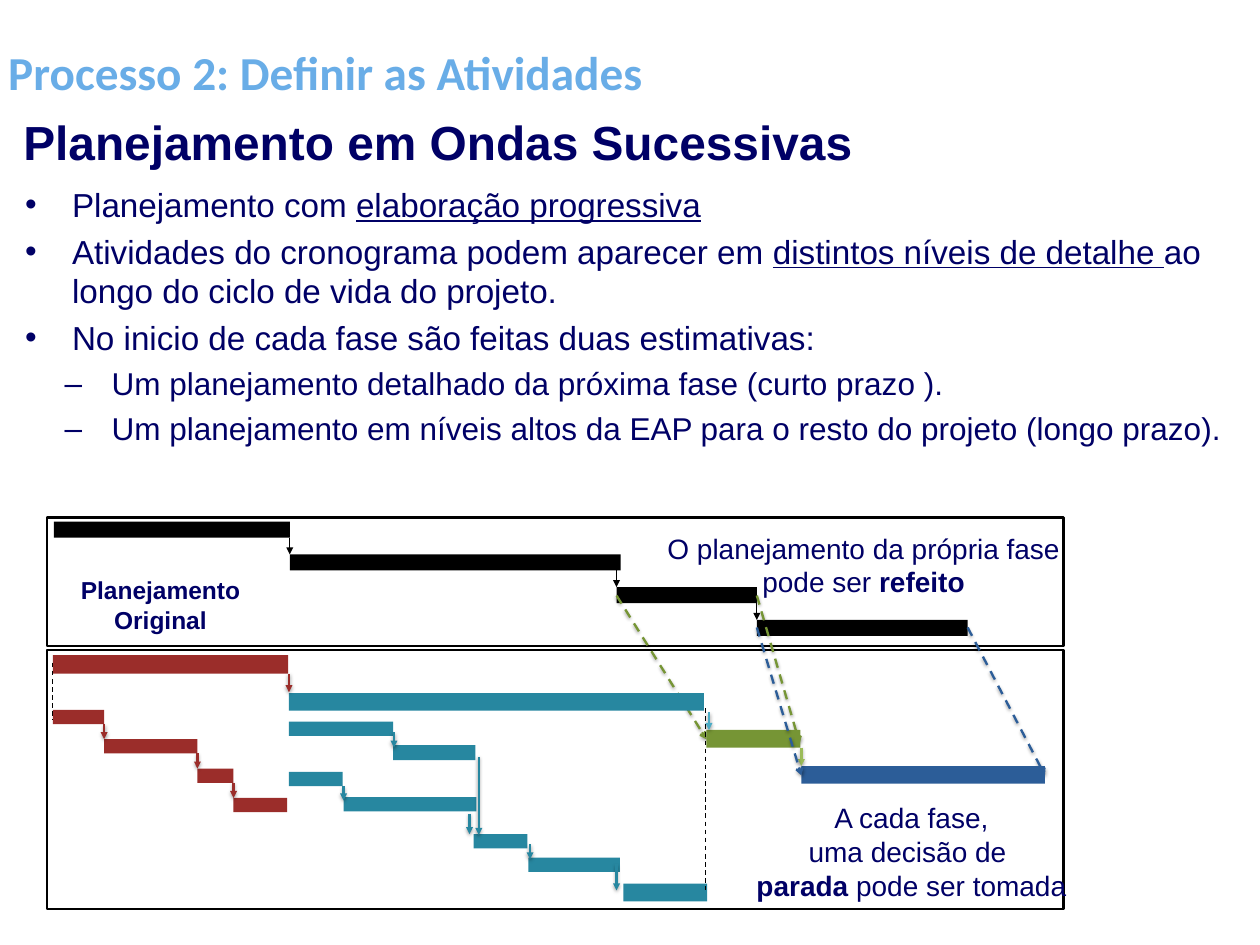
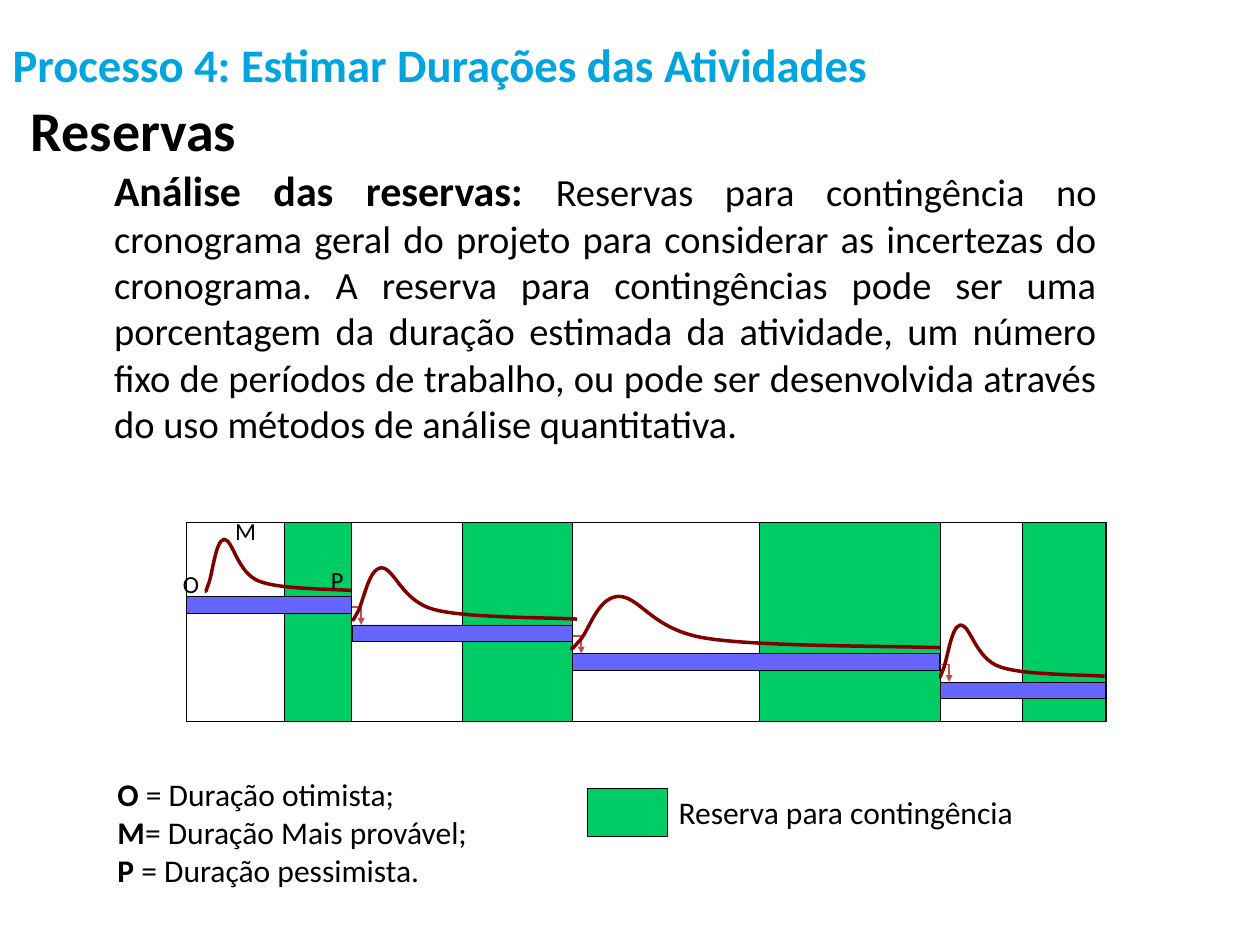
from dataclasses import dataclass
from itertools import pairwise
from typing import NamedTuple

from lxml import etree
from pptx import Presentation
from pptx import util as u
from pptx.dml.color import RGBColor
from pptx.enum import dml, shapes, text
from pptx.oxml import ns

Inches, Pt = u.Inches, u.Pt


@dataclass(frozen=True)
class Theme:
    arial: str = "Arial"
    calibri: str = "Calibri"
    navy: str = "000066"
    black: str = "000000"
    white: str = "FFFFFF"
    sky: str = "69ADE7"
    cyan: str = "00A4DE"
    red: str = "9B2D2A"
    teal: str = "2787A0"
    aqua: str = "4BACC6"
    olive: str = "769535"
    lime: str = "9BBB59"
    blue: str = "2C5D98"
    reserve: str = "00CC66"
    task: str = "6666FF"
    curve: str = "800000"
    link: str = "C0504D"
    wave_title: float = 40.5
    reserve_title: float = 40
    wave_heading: float = 41
    reserve_heading: float = 48
    bullet: float = 28.5
    sub_bullet: float = 27
    lead: float = 36
    body: float = 33
    legend: float = 27
    note: float = 24
    label: float = 21


T = Theme()


class Run(NamedTuple):
    words: str
    bold: bool | None = None
    underline: bool | None = None
    size: float | None = None


class Para(NamedTuple):
    runs: list[Run]
    bullet: str = ""
    level: int = 0
    size: float | None = None


class Style(NamedTuple):
    size: float
    font: str = T.calibri
    color: str = T.black
    bold: bool | None = None
    align: text.PP_ALIGN | None = None
    middle: bool = False
    inset: float = 0.1
    wrap: bool = True
    rounded: bool = False


class Bar(NamedTuple):
    left: float
    top: float
    width: float
    height: float
    color: str


class Line(NamedTuple):
    x1: float
    y1: float
    x2: float
    y2: float
    color: str = T.black
    weight: float = 2
    dashed: bool = False
    head: str = "triangle"
    shadow: bool = True


class Task(NamedTuple):
    start: float
    end: float
    reserve_start: float
    curve_start: float
    curve_end: float


def rgb(color: str) -> RGBColor:
    return RGBColor.from_string(color)


def add_child(parent, tag: str, **attributes: str):
    return etree.SubElement(parent, ns.qn(tag), attributes)


def draw_text(slide, left: float, top: float, width: float, height: float,
              paras: list[Para], style: Style) -> None:
    place = [Inches(side) for side in (left, top, width, height)]
    if style.rounded:
        holder = slide.shapes.add_shape(shapes.MSO_SHAPE.ROUNDED_RECTANGLE, *place)
        holder.shadow.inherit = False
        holder.fill.background()
        holder.line.fill.background()
    else:
        holder = slide.shapes.add_textbox(*place)
    frame = holder.text_frame
    frame.word_wrap = style.wrap
    frame.margin_left = frame.margin_right = Inches(style.inset)
    if style.middle:
        frame.vertical_anchor = text.MSO_ANCHOR.MIDDLE
    for index, para in enumerate(paras):
        paragraph = frame.add_paragraph() if index else frame.paragraphs[0]
        if style.align is not None:
            paragraph.alignment = style.align
        if para.bullet:
            paragraph.level = para.level
            if index:
                paragraph.space_before = Pt(6)
            props = paragraph._p.get_or_add_pPr()
            props.set("marL", str(Inches(1.03 if para.level else 0.56)))
            props.set("indent", str(Inches(-0.56)))
            add_child(props, "a:buFont", typeface=style.font)
            add_child(props, "a:buChar", char=para.bullet)
        paragraph.font.name = style.font
        paragraph.font.size = Pt(para.size or style.size)
        paragraph.font.color.rgb = rgb(style.color)
        paragraph.font.bold = style.bold
        for part in para.runs:
            run = paragraph.add_run()
            run.text = part.words
            if part.bold:
                run.font.bold = True
            if part.underline:
                run.font.underline = True
            if part.size:
                run.font.size = Pt(part.size)


def draw_words(slide, left: float, top: float, width: float, height: float,
               words: str, style: Style) -> None:
    draw_text(slide, left, top, width, height, [Para([Run(words)])], style)


def draw_title(slide, words: str, size: float, color: str, width: float, height: float, inset: float) -> None:
    draw_words(slide, 0, 0.32, width, height, words,
               Style(size, color=color, bold=True, middle=True, inset=inset))


def draw_bar(slide, bar: Bar, outline: float = 0) -> None:
    shape = slide.shapes.add_shape(shapes.MSO_SHAPE.RECTANGLE, *map(Inches, bar[:4]))
    shape.shadow.inherit = False
    shape.fill.solid()
    shape.fill.fore_color.rgb = rgb(bar.color)
    if outline:
        shape.line.color.rgb = rgb(T.black)
        shape.line.width = Pt(outline)
    else:
        shape.line.fill.background()


def draw_line(slide, line: Line) -> None:
    connector = slide.shapes.add_connector(shapes.MSO_CONNECTOR.STRAIGHT, *map(Inches, line[:4]))
    connector.line.color.rgb = rgb(line.color)
    connector.line.width = Pt(line.weight)
    if line.dashed:
        connector.line.dash_style = dml.MSO_LINE.DASH
    props = connector._element.spPr
    if line.head:
        add_child(props.find(ns.qn("a:ln")), "a:tailEnd", type=line.head)
    effects = add_child(props, "a:effectLst")
    if line.shadow:
        shade = add_child(effects, "a:outerShdw", blurRad=str(Pt(3.1)), dist=str(Pt(1.6)),
                          dir="5400000", rotWithShape="0")
        add_child(add_child(shade, "a:srgbClr", val=T.black), "a:alpha", val="38000")


def draw_cascade(slide, bars: list[Bar], weight: float, shadow: bool) -> None:
    for bar in bars:
        draw_bar(slide, bar)
    for before, after in pairwise(bars):
        draw_line(slide, Line(after.left, before.top + before.height, after.left, after.top,
                              after.color, weight, shadow=shadow))


def stair(spans: list[tuple[float, float]], top: float, step: float, height: float, color: str) -> list[Bar]:
    return [Bar(left, top + i * step, width, height, color) for i, (left, width) in enumerate(spans)]


def draw_density(slide, left: float, top: float, width: float, height: float) -> None:
    segments = [
        ((0.01, 0.94), (0, 1), (0.02, 0.85)),
        ((0.05, 0.68), (0.07, 0.02), (0.13, 0)),
        ((0.19, 0), (0.22, 0.62), (0.37, 0.77)),
        ((0.51, 0.92), (0.87, 0.91), (1, 0.94)),
    ]
    builder = slide.shapes.build_freeform(Inches(left), Inches(top + 0.95 * height))
    builder.add_line_segments([(Inches(left + x * width), Inches(top + y * height))
                               for _, _, (x, y) in segments], close=False)
    density = builder.convert_to_shape()
    for step, points in zip(list(density._element.iter(ns.qn("a:lnTo"))), segments):
        step.tag = ns.qn("a:cubicBezTo")
        step.clear()
        for x, y in points:
            add_child(step, "a:pt", x=str(Inches(x * width)), y=str(Inches(y * height)))
    density.shadow.inherit = False
    density.fill.background()
    density.line.color.rgb = rgb(T.curve)
    density.line.width = Pt(3)


def build_waves(slide) -> None:
    draw_words(slide, 0.18, 1.29, 11.4, 0.94, "Planejamento em Ondas Sucessivas",
               Style(T.wave_heading, T.arial, T.navy, bold=True))
    draw_text(slide, 0.2, 2.14, 14.8, 3.9, [
        Para([Run("Planejamento com "), Run("elaboração progressiva", underline=True)], "•"),
        Para([Run("Atividades do cronograma podem aparecer em "),
              Run("distintos níveis de detalhe ", underline=True),
              Run("ao longo do ciclo de vida do projeto.")], "•"),
        Para([Run("No inicio de cada fase são feitas duas estimativas:")], "•"),
        Para([Run("Um planejamento detalhado da próxima fase (curto prazo ).")], "–", 1, T.sub_bullet),
        Para([Run("Um planejamento em níveis altos da EAP para o resto do projeto (longo prazo).")],
             "–", 1, T.sub_bullet),
    ], Style(T.bullet, T.arial, T.navy))

    draw_bar(slide, Bar(0.56, 6.16, 12.1, 1.53, T.white), 2)
    original_plan = [(0.64, 2.81), (3.45, 3.94), (7.34, 1.67), (9.01, 2.51)]
    draw_cascade(slide, stair(original_plan, 6.21, 0.39, 0.19, T.black), 0.75, False)
    note = Style(T.note, T.arial, T.navy, align=text.PP_ALIGN.CENTER, middle=True, rounded=True)
    draw_words(slide, 0.67, 6.8, 2.48, 0.81, "Planejamento Original",
               note._replace(size=T.label, bold=True, middle=False, rounded=False))
    draw_text(slide, 7.64, 6.24, 5.28, 0.97, [
        Para([Run("O planejamento da própria fase pode ser "), Run("refeito", bold=True)])], note)

    draw_bar(slide, Bar(0.56, 7.74, 12.1, 3.08, T.white), 2)
    for x1, y1, x2, y2, color in [
        (7.34, 7.09, 8.41, 8.8, T.olive),
        (9.01, 7.09, 9.52, 8.85, T.olive),
        (11.52, 7.47, 12.44, 9.23, T.blue),
    ]:
        draw_line(slide, Line(x1, y1, x2, y2, color, dashed=True, head="arrow"))

    first_phase = [(0.63, 0.61), (1.24, 1.11), (2.35, 0.43), (2.78, 0.64)]
    draw_cascade(slide, stair(first_phase, 8.45, 0.35, 0.17, T.red), 2, True)
    for bar in [
        Bar(0.63, 7.8, 2.8, 0.22, T.red),
        Bar(3.44, 8.25, 4.94, 0.21, T.teal),
        Bar(8.41, 8.69, 1.12, 0.21, T.olive),
        Bar(9.54, 9.12, 2.9, 0.21, T.blue),
        Bar(3.44, 8.59, 1.24, 0.17, T.teal),
        Bar(4.68, 8.87, 0.98, 0.18, T.teal),
        Bar(3.44, 9.19, 0.64, 0.17, T.teal),
        Bar(4.09, 9.49, 1.58, 0.17, T.teal),
        Bar(5.64, 9.93, 0.64, 0.17, T.teal),
        Bar(6.29, 10.21, 1.09, 0.17, T.teal),
        Bar(7.42, 10.52, 1, 0.21, T.teal),
    ]:
        draw_bar(slide, bar)
    for x, y1, y2 in [(0.63, 7.89, 8.57), (8.4, 8.43, 10.6)]:
        draw_line(slide, Line(x, y1, x, y2, weight=1, dashed=True, head="", shadow=False))
    for x, y1, y2, color in [
        (3.44, 8.02, 8.24, T.red),
        (8.44, 8.48, 8.69, T.aqua),
        (9.54, 8.9, 9.12, T.lime),
        (4.69, 8.72, 8.9, T.teal),
        (4.09, 9.36, 9.53, T.teal),
        (6.31, 10.05, 10.23, T.teal),
        (5.7, 9.01, 9.94, T.teal),
        (5.59, 9.69, 9.93, T.teal),
        (7.34, 10.29, 10.6, T.teal),
    ]:
        draw_line(slide, Line(x, y1, x, y2, color))
    draw_line(slide, Line(9.01, 7.47, 9.54, 9.23, T.blue, dashed=True, head="arrow"))
    draw_text(slide, 8.3, 9.51, 5.1, 1.25, [
        Para([Run("A cada fase,")]),
        Para([Run("uma decisão de ")]),
        Para([Run("parada", bold=True), Run(" pode ser tomada")]),
    ], note)
    draw_title(slide, "Processo 2: Definir as Atividades", T.wave_title, T.sky, 12.86, 1.07, 0.1)


def build_reserves(slide) -> None:
    draw_text(slide, 1.26, 1.91, 11.9, 3.48, [Para([
        Run("Análise das reservas: ", bold=True, size=T.lead),
        Run("Reservas para contingência no cronograma geral do projeto para considerar as "
            "incertezas do cronograma. A reserva para contingências pode ser uma porcentagem da "
            "duração estimada da atividade, um número fixo de períodos de trabalho, ou pode ser "
            "desenvolvida através do uso métodos de análise quantitativa."),
    ])], Style(T.body, align=text.PP_ALIGN.JUSTIFY))
    draw_words(slide, 0.27, 1.09, 7.71, 0.91, "Reservas", Style(T.reserve_heading, bold=True))
    draw_title(slide, "Processo 4: Estimar Durações das Atividades", T.reserve_title, T.cyan, 15.89, 0.89, 0.15)

    tasks = [
        Task(2.22, 4.19, 3.39, 2.44, 4.19),
        Task(4.19, 6.81, 5.5, 4.19, 6.87),
        Task(6.81, 11.19, 9.04, 6.79, 11.19),
        Task(11.19, 13.16, 12.17, 11.18, 13.15),
    ]
    tops = [7.1 + 0.34 * i for i in range(len(tasks))]
    draw_bar(slide, Bar(2.22, 6.22, 10.95, 2.37, T.white), 0.75)
    for task in tasks:
        draw_bar(slide, Bar(task.reserve_start, 6.22, task.end - task.reserve_start, 2.37, T.reserve), 0.75)
    for task, top, next_top in zip(tasks, tops, tops[1:]):
        turn, level = task.end + 0.11, top + 0.13
        draw_line(slide, Line(task.end - 0.22, level, turn, level, T.link, 1.5, head="", shadow=False))
        draw_line(slide, Line(turn, level, turn, next_top, T.link, 1.5, shadow=False))
    for task, top in zip(tasks, tops):
        draw_density(slide, task.curve_start, top - 0.68, task.curve_end - task.curve_start, 0.65)
    for task, top in zip(tasks, tops):
        draw_bar(slide, Bar(task.start, top, task.end - task.start, 0.2, T.task), 0.75)

    for letter, left, top, width in [("P", 3.84, 6.68, 0.35), ("O", 2.08, 6.72, 0.4), ("M", 2.7, 6.09, 0.45)]:
        draw_words(slide, left, top, width, 0.45, letter, Style(T.label, wrap=False))
    draw_text(slide, 1.3, 9.18, 6.61, 1.46, [
        Para([Run(letter, bold=True), Run(meaning)]) for letter, meaning in [
            ("O", " = Duração otimista;"),
            ("M", "= Duração Mais provável;"),
            ("P", " = Duração pessimista."),
        ]], Style(T.legend))
    draw_bar(slide, Bar(6.99, 9.39, 0.95, 0.57, T.reserve), 0.75)
    draw_words(slide, 7.98, 9.39, 6.73, 0.56, "Reserva para contingência", Style(T.legend))


def main() -> None:
    deck = Presentation()
    deck.slide_width, deck.slide_height = Inches(15), Inches(11.25)
    for build in (build_waves, build_reserves):
        build(deck.slides.add_slide(deck.slide_layouts[6]))
    deck.save("out.pptx")


if __name__ == "__main__":
    main()
